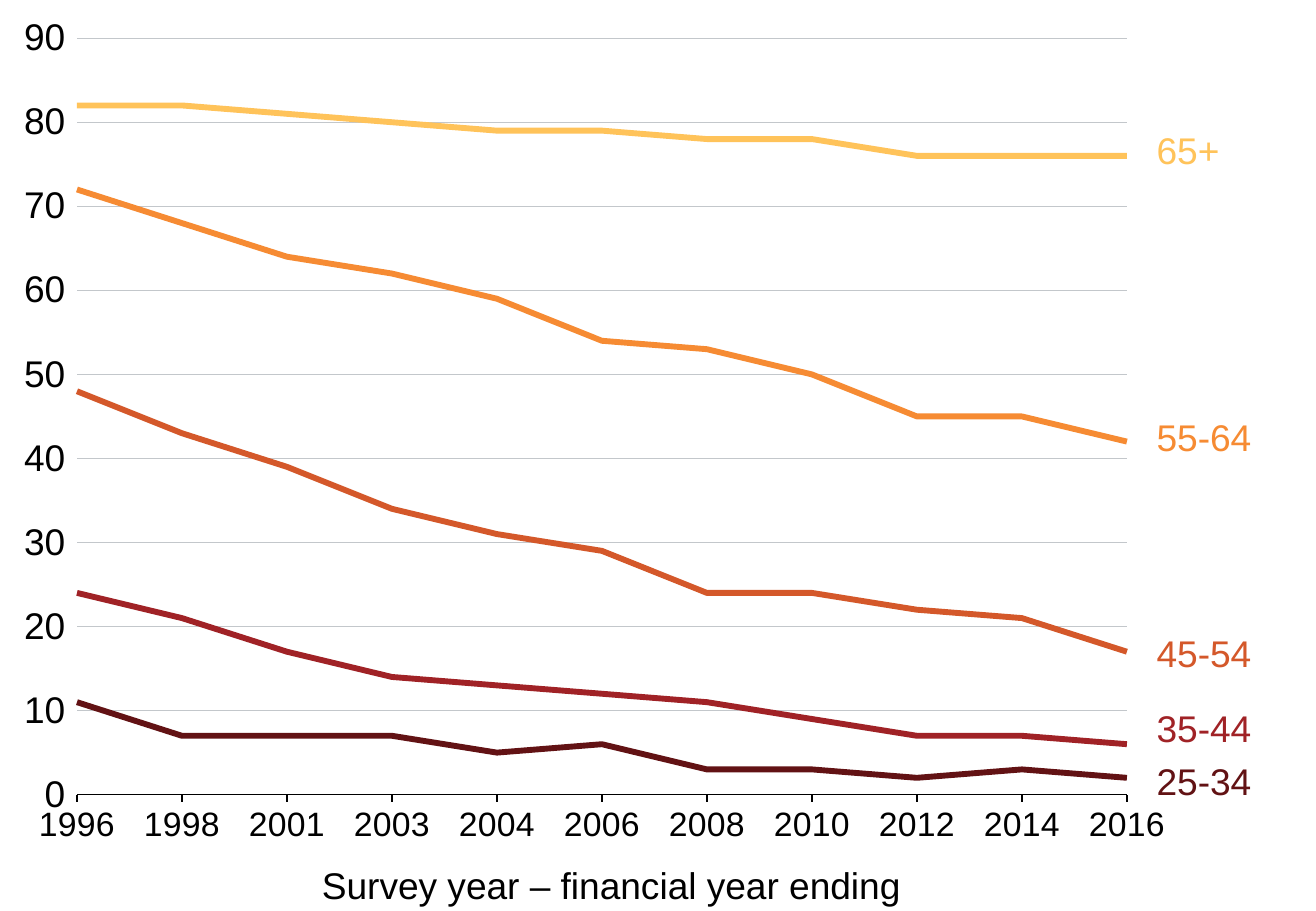
from dataclasses import dataclass

from lxml.etree import SubElement
from pptx import Presentation
from pptx.chart.data import CategoryChartData
from pptx.dml.color import RGBColor
from pptx.enum.chart import XL_CHART_TYPE, XL_TICK_MARK
from pptx.enum.text import MSO_AUTO_SIZE, PP_ALIGN
from pptx.oxml.ns import qn
from pptx.util import Cm, Pt

YEARS = ["1996", "1998", "2001", "2003", "2004", "2006",
         "2008", "2010", "2012", "2014", "2016"]
# age group, colour, top of its label in cm, values by survey year
AGE_GROUPS = [
    ("25-34", "621214", 15.85, (11, 7, 7, 7, 5, 6, 3, 3, 2, 3, 2)),
    ("35-44", "A02226", 14.76, (24, 21, 17, 14, 13, 12, 11, 9, 7, 7, 6)),
    ("45-54", "D4582A", 13.18, (48, 43, 39, 34, 31, 29, 24, 24, 22, 21, 17)),
    ("55-64", "F68B33", 8.66, (72, 68, 64, 62, 59, 54, 53, 50, 45, 45, 42)),
    ("65+", "FFC35A", 2.67, (82, 82, 81, 80, 79, 79, 78, 78, 76, 76, 76)),
]
AXIS_TITLE = "Survey year – financial year ending"

SLIDE_SIZE = (27.51, 19.05)
CHART_SIZE = (24.87, 18.03)
PLOT = {"x": 1.61, "y": 0.8, "w": 21.95, "h": 15.82}
LABEL_LEFT, LABEL_WIDTH, TEXT_HEIGHT = 24.18, 2.11, 0.94
AXIS_TITLE_PLACE = (1.78, 18.03, 22.0)


@dataclass(frozen=True)
class Theme:
    font: str = "Arial"
    text: str = "000000"
    grid: str = "C3C7CB"
    label_size: int = 22
    year_size: int = 20
    series_width: float = 3.5
    axis_width: float = 0.75


THEME = Theme()


def style_font(font, size, color=THEME.text):
    font.name = THEME.font
    font.size = Pt(size)
    font.color.rgb = RGBColor.from_string(color)


def style_line(line, color, width):
    line.color.rgb = RGBColor.from_string(color)
    line.width = Pt(width)


def add_text(page, text, left, top, width, color=THEME.text, align=PP_ALIGN.LEFT):
    box = page.shapes.add_textbox(Cm(left), Cm(top), Cm(width), Cm(TEXT_HEIGHT))
    frame = box.text_frame
    frame.margin_left = frame.margin_right = frame.margin_top = frame.margin_bottom = 0
    frame.word_wrap = True
    frame.auto_size = MSO_AUTO_SIZE.SHAPE_TO_FIT_TEXT
    para = frame.paragraphs[0]
    para.text = text
    para.alignment = align
    style_font(para.font, THEME.label_size, color)


def fix_plot_area(chart):
    """Place the inner plot area and start the lines on the value axis."""
    area = chart.element.find(".//" + qn("c:plotArea"))
    for old in area.findall(qn("c:layout")):
        area.remove(old)
    layout = SubElement(area, qn("c:layout"))
    area.insert(0, layout)
    manual = SubElement(layout, qn("c:manualLayout"))
    fractions = {
        key: round(length / CHART_SIZE[key in "yh"], 4) for key, length in PLOT.items()
    }
    settings = {"layoutTarget": "inner", "xMode": "edge", "yMode": "edge", **fractions}
    for tag, value in settings.items():
        SubElement(manual, qn("c:" + tag)).set("val", str(value))

    axis = area.find(qn("c:valAx"))
    for old in axis.findall(qn("c:crossBetween")):
        axis.remove(old)
    between = SubElement(axis, qn("c:crossBetween"))
    between.set("val", "midCat")
    axis.find(qn("c:crosses")).addnext(between)


def add_age_chart(page):
    data = CategoryChartData(number_format="0")
    data.categories = YEARS
    for name, _, _, values in AGE_GROUPS:
        data.add_series(name, values)
    width, height = CHART_SIZE
    chart = page.shapes.add_chart(
        XL_CHART_TYPE.LINE, 0, 0, Cm(width), Cm(height), data).chart
    chart.has_title = False
    chart.has_legend = False
    style_font(chart.font, THEME.label_size)
    chart.plots[0].vary_by_categories = False
    for series, (_, color, _, _) in zip(chart.plots[0].series, AGE_GROUPS):
        series.smooth = False
        style_line(series.format.line, color, THEME.series_width)

    years = chart.category_axis
    years.has_major_gridlines = False
    years.major_tick_mark = XL_TICK_MARK.OUTSIDE
    style_font(years.tick_labels.font, THEME.year_size)
    style_line(years.format.line, THEME.text, THEME.axis_width)

    scale = chart.value_axis
    scale.minimum_scale, scale.maximum_scale = 0, 90
    scale.major_tick_mark = XL_TICK_MARK.OUTSIDE
    scale.tick_labels.number_format = "0"
    scale.tick_labels.number_format_is_linked = False
    style_font(scale.tick_labels.font, THEME.label_size)
    scale.format.line.fill.background()
    scale.has_major_gridlines = True
    style_line(scale.major_gridlines.format.line, THEME.grid, THEME.axis_width)
    fix_plot_area(chart)
    scale.major_unit = 10


def main():
    deck = Presentation()
    deck.slide_width, deck.slide_height = (Cm(length) for length in SLIDE_SIZE)
    page = deck.slides.add_slide(deck.slide_layouts[6])
    add_age_chart(page)
    for name, color, top, _ in AGE_GROUPS:
        add_text(page, name, LABEL_LEFT, top, LABEL_WIDTH, color)
    add_text(page, AXIS_TITLE, *AXIS_TITLE_PLACE, align=PP_ALIGN.CENTER)
    deck.save("out.pptx")


if __name__ == "__main__":
    main()
